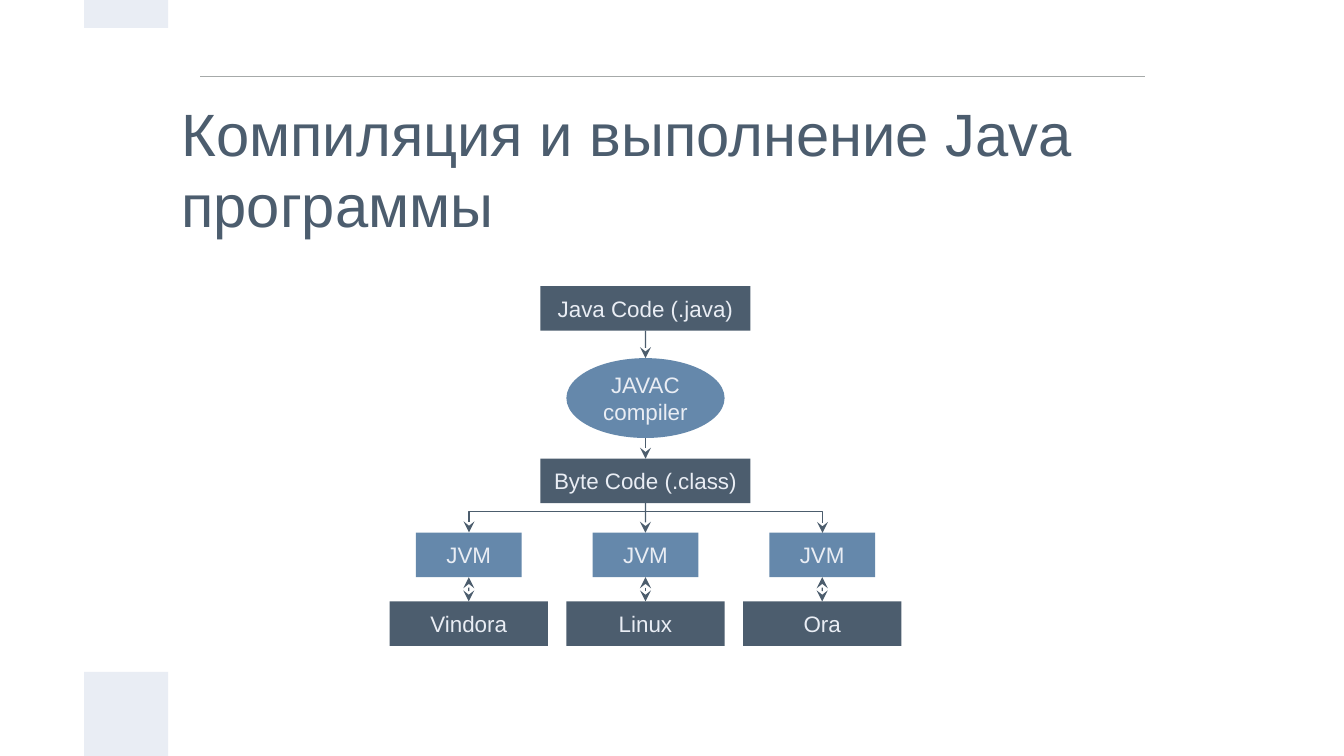
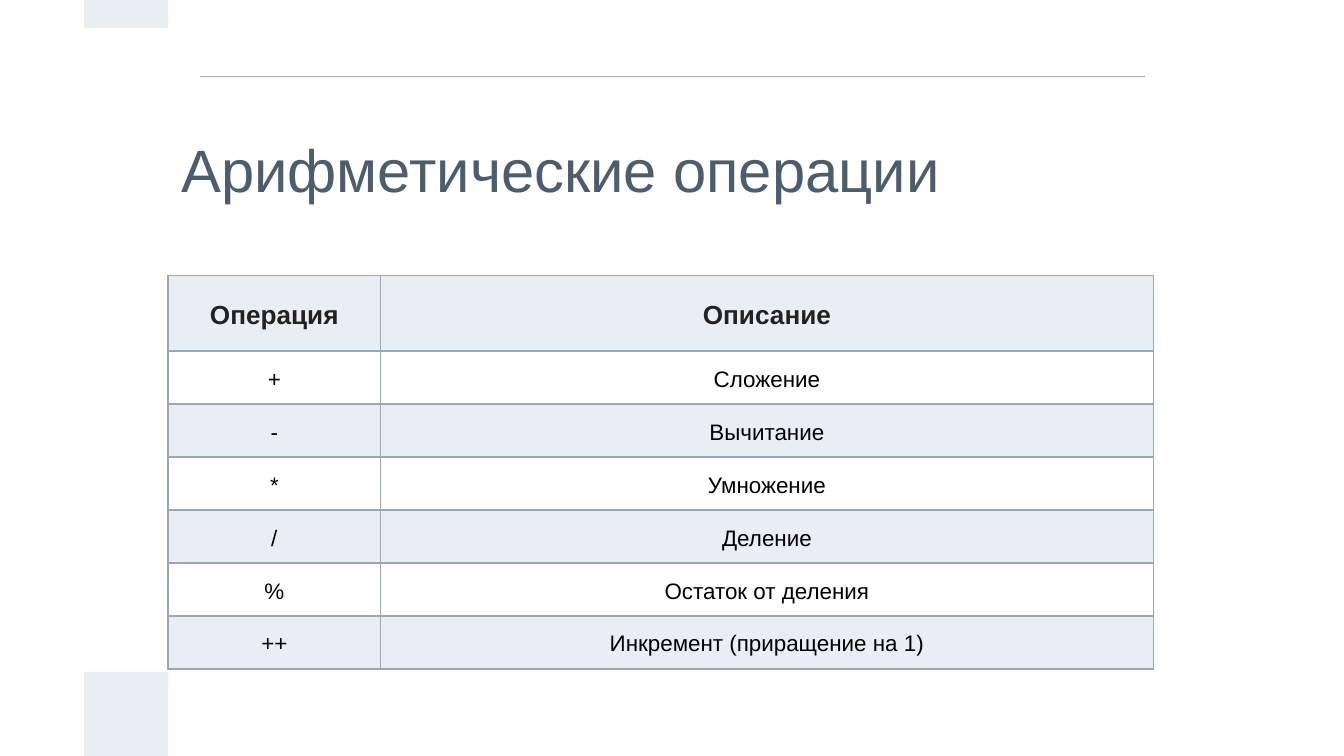
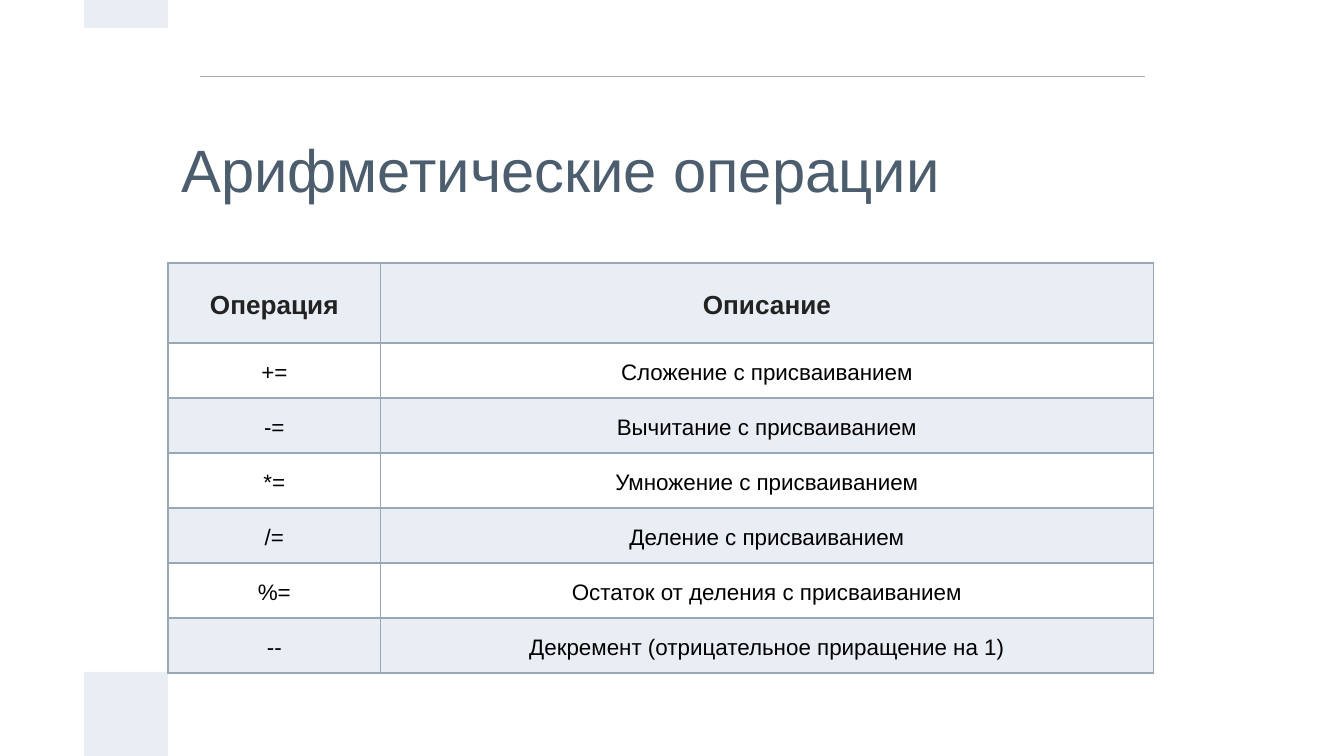
from lxml.etree import SubElement
from pptx import Presentation
from pptx.dml.color import RGBColor
from pptx.enum.shapes import MSO_CONNECTOR as LINK, MSO_SHAPE as SHAPE
from pptx.enum.text import MSO_ANCHOR as ANCHOR, PP_ALIGN as ALIGN
from pptx.oxml.ns import qn
from pptx.util import Cm, Pt

SLATE, STEEL, PALE = "4C5D6E", "6588AB", "E9EDF4"
RULE_GREY, ARROW, GRID = "A6AAA9", "4C5D6D", "99A8B7"
HEADING, INK = "222222", "000000"
INSET = dict.fromkeys(("margin_left", "margin_right", "margin_top", "margin_bottom"), Cm(0.25))
TEXT_BOX = {**INSET, "word_wrap": True, "vertical_anchor": ANCHOR.MIDDLE}
CELL = {"margin_left": Cm(0.18), "margin_right": Cm(0.18), "margin_top": Cm(0.13),
        "margin_bottom": Cm(0.13), "vertical_anchor": ANCHOR.MIDDLE}


def rgb(value):
    return RGBColor.from_string(value)


def write(frame, text, size, color, align=ALIGN.CENTER, bold=False, spacing=None):
    """Fill a text frame, one paragraph per line of text."""
    frame.text = text
    for paragraph in frame.paragraphs:
        paragraph.alignment = align
        paragraph.line_spacing = spacing
        font = paragraph.runs[0].font
        font.name, font.size, font.bold = "Arial", Pt(size), bold
        font.color.rgb = rgb(color)


prs = Presentation()
prs.slide_width, prs.slide_height = Cm(25.4), Cm(14.29)
lines = []  # connector, colour, arrowheads

# Shared frame and titles
slides = []
for title in ("Компиляция и выполнение Java программы",
              "Арифметические операции", "Арифметические операции"):
    slide = prs.slides.add_slide(prs.slide_layouts[6])
    slides.append(slide)
    rule = slide.shapes.add_connector(LINK.STRAIGHT, Cm(3.78), Cm(1.45), Cm(21.63), Cm(1.45))
    lines.append((rule, RULE_GREY, ()))
    for top, height in ((12.7, 1.59), (0, 0.53)):
        band = slide.shapes.add_shape(SHAPE.RECTANGLE, Cm(1.59), Cm(top), Cm(1.59), Cm(height))
        band.shadow.inherit = False
        band.fill.solid()
        band.fill.fore_color.rgb = rgb(PALE)
        band.line.fill.background()
    heading = slide.shapes.add_textbox(Cm(3.18), Cm(1.59), Cm(19.05), Cm(3.18)).text_frame
    for name, value in TEXT_BOX.items():
        setattr(heading, name, value)
    write(heading, title, 32, SLATE, ALIGN.LEFT)

# Compilation diagram
diagram = slides[0].shapes
CENTER, PITCH, BOX_HEIGHT = 12.2, 3.34, 0.84
JVM_TOP = 10.07
columns = [CENTER + PITCH * step for step in (-1, 0, 1)]
steps = [("Java Code (.java)", CENTER, 5.41, 3.97, SLATE),
         ("Byte Code (.class)", CENTER, 8.67, 3.97, SLATE)]
steps += [("JVM", x, JVM_TOP, 2, STEEL) for x in columns]
steps += [(system, x, 11.37, 2.99, SLATE)
          for system, x in zip(("Vindora", "Linux", "Ora"), columns)]
steps.append(("JAVAC\ncompiler", CENTER, 6.77, 2.99, STEEL))

nodes = []
for text, x, top, width, color in steps:
    kind, height = (SHAPE.OVAL, 1.51) if "compiler" in text else (SHAPE.RECTANGLE, BOX_HEIGHT)
    node = diagram.add_shape(kind, Cm(x - width / 2), Cm(top), Cm(width), Cm(height))
    node.shadow.inherit = False
    node.fill.solid()
    node.fill.fore_color.rgb = rgb(color)
    node.line.fill.background()
    for name, value in TEXT_BOX.items():
        setattr(node.text_frame, name, value)
    write(node.text_frame, text, 12, PALE)
    nodes.append(node)

source, bytecode, *machines, compiler = nodes
jvms, systems = machines[:3], machines[3:]
ONE_WAY, BOTH_WAYS = ("tailEnd",), ("headEnd", "tailEnd")
flows = [(source, compiler, ONE_WAY), (compiler, bytecode, ONE_WAY), (bytecode, jvms[1], ONE_WAY)]
flows += [(jvm, system, BOTH_WAYS) for jvm, system in zip(jvms, systems)]
for upper, lower, heads in flows:
    flow = diagram.add_connector(LINK.STRAIGHT, upper.left + upper.width // 2,
                                 upper.top + upper.height,
                                 lower.left + lower.width // 2, lower.top)
    if upper is not compiler:
        flow.begin_connect(upper, 2)
    if lower is not compiler:
        flow.end_connect(lower, 0)
    lines.append((flow, ARROW, heads))

# The branch to the outer machines is an elbow turned on its side
branch = diagram.add_connector(LINK.ELBOW, Cm(CENTER + 0.01), Cm(JVM_TOP - PITCH),
                               Cm(CENTER), Cm(JVM_TOP + PITCH))
branch.rotation = 270
branch._element.spPr.find(qn("a:xfrm")).set("rot", "16200000")
bend = branch._element.spPr.find(qn("a:prstGeom")).get_or_add_avLst()
SubElement(bend, qn("a:gd"), name="adj1", fmla="val -3900000")
lines.append((branch, ARROW, BOTH_WAYS))

# Operator tables
tables = (
    (slides[1], 5.21, 1.43, 1.0, (
        ("+", "Сложение"), ("-", "Вычитание"), ("*", "Умножение"), ("/", "Деление"),
        ("%", "Остаток от деления"), ("++", "Инкремент (приращение на 1)"))),
    (slides[2], 4.97, 1.51, 1.04, (
        ("+=", "Сложение с присваиванием"), ("-=", "Вычитание с присваиванием"),
        ("*=", "Умножение с присваиванием"), ("/=", "Деление с присваиванием"),
        ("%=", "Остаток от деления с присваиванием"),
        ("--", "Декремент (отрицательное приращение на 1)"))),
)
for slide, top, head_height, row_height, operators in tables:
    rows = (("Операция", "Описание"), *operators)
    table = slide.shapes.add_table(len(rows), 2, Cm(3.18), Cm(top), Cm(18.62),
                                   Cm(head_height + row_height * len(operators))).table
    table.first_row = table.horz_banding = False
    for column, width in zip(table.columns, (4.01, 14.61)):
        column.width = Cm(width)
    for r, row in enumerate(rows):
        table.rows[r].height = Cm(row_height if r else head_height)
        for c, text in enumerate(row):
            cell = table.cell(r, c)
            for name, value in CELL.items():
                setattr(cell, name, value)
            size, color = (12, INK) if r else (14, HEADING)
            write(cell.text_frame, text, size, color, bold=r == 0, spacing=1.15)
            for side in ("lnL", "lnR", "lnT", "lnB"):
                border = SubElement(cell._tc.get_or_add_tcPr(), qn(f"a:{side}"), w=str(Pt(0.96)))
                SubElement(SubElement(border, qn("a:solidFill")), qn("a:srgbClr"), val=GRID)
            if r % 2:
                cell.fill.background()
            else:
                cell.fill.solid()
                cell.fill.fore_color.rgb = rgb(PALE)

for connector, color, heads in lines:
    connector.line.color.rgb = rgb(color)
    connector.line.width = Pt(0.75)
    for head in heads:
        SubElement(connector.line._get_or_add_ln(), qn(f"a:{head}"), type="stealth")
    SubElement(connector._element.spPr, qn("a:effectLst"))

prs.save("out.pptx")
